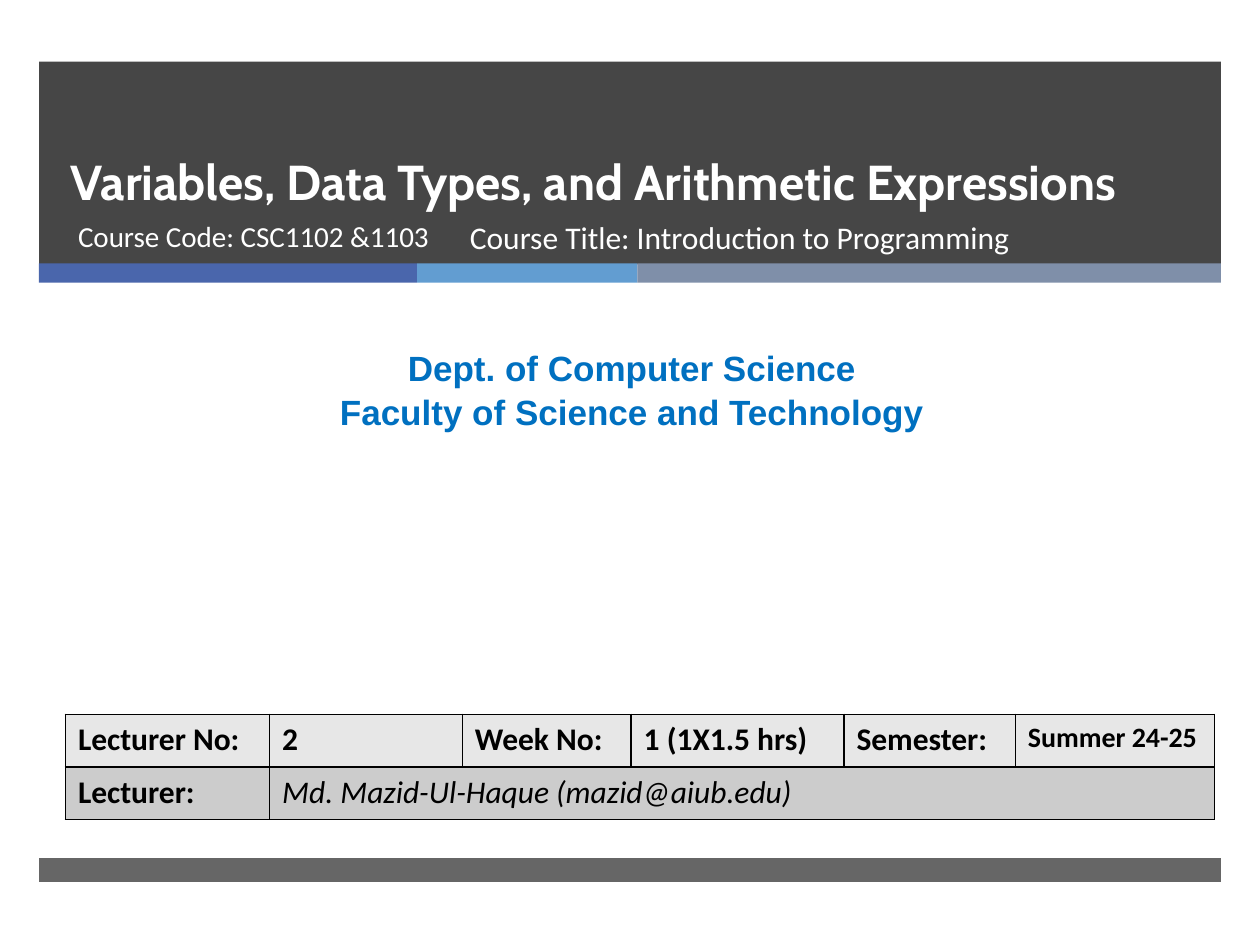
from lxml.etree import SubElement
from pptx import Presentation
from pptx.dml.color import RGBColor
from pptx.enum.shapes import MSO_SHAPE
from pptx.enum.text import MSO_ANCHOR, MSO_AUTO_SIZE, PP_ALIGN
from pptx.oxml.ns import qn
from pptx.util import Pt

COLORS = {
    "white": "FFFFFF", "black": "000000", "dark": "262626",
    "navy": "4A66AC", "sky": "629DD1", "slate": "7F8FA9",
    "department": "0070C0", "row_light": "E7E7E7", "row_dark": "CCCCCC",
}
BAND_LEFT, BAND_WIDTH = 22.32, 675.36
STRIPE_TOP, STRIPE_HEIGHT = 150.5, 11
STRIPES = [("navy", 216), ("sky", 126), ("slate", 333.36)]

COLUMN_WIDTHS = [116.7, 110.1, 96.5, 121.6, 98, 113.7]
ROW_HEIGHT = 30
TABLE_ROWS = [
    ("row_light", ["Lecturer No:", "2", "Week No:", "1 (1X1.5 hrs)",
                   "Semester:", "Summer 24-25"]),
    ("row_dark", ["Lecturer:", "Md. Mazid-Ul-Haque (mazid@aiub.edu)"]),
]
LABEL = {"name": "Calibri", "size": Pt(18), "bold": True}
CELL_FORMATS = {
    "Summer 24-25": {"size": Pt(16)},
    TABLE_ROWS[1][1][1]: {"bold": False, "italic": True},
}


def rgb(name):
    return RGBColor.from_string(COLORS[name])


def add_band(s, left, top, width, height, color, opacity=100):
    sp = s.shapes.add_shape(MSO_SHAPE.RECTANGLE, Pt(left), Pt(top),
                            Pt(width), Pt(height))
    sp.shadow.inherit = False
    sp.fill.solid()
    sp.fill.fore_color.rgb = rgb(color)
    sp.line.fill.background()
    if opacity < 100:
        srgb = sp._element.spPr.find(f".//{qn('a:srgbClr')}")
        SubElement(srgb, qn("a:alpha"), val=str(opacity * 1000))


def format_paragraph(p, color, font, **layout):
    for key, value in layout.items():
        setattr(p, key, value)
    for r in p.runs:
        r.font.color.rgb = rgb(color)
        for key, value in font.items():
            setattr(r.font, key, value)


def fill_text(sp, box, text, color, font, anchor=MSO_ANCHOR.TOP, **layout):
    """Place a text shape at box and write one paragraph per line of text."""
    sp.left, sp.top, sp.width, sp.height = map(Pt, box)
    tf = sp.text_frame
    tf.text = text
    tf.word_wrap = True
    tf.auto_size = MSO_AUTO_SIZE.NONE
    tf.vertical_anchor = anchor
    for p in tf.paragraphs:
        format_paragraph(p, color, font, space_before=Pt(0), **layout)


def add_text(s, box, *args, **layout):
    fill_text(s.shapes.add_textbox(*map(Pt, box)), box, *args, **layout)


def set_borders(cell):
    tc_pr = cell._tc.get_or_add_tcPr()
    for index, side in enumerate(("lnL", "lnR", "lnT", "lnB")):
        ln = tc_pr.makeelement(qn(f"a:{side}"), {"w": str(Pt(1))})
        fill = SubElement(ln, qn("a:solidFill"))
        SubElement(fill, qn("a:srgbClr"), val=COLORS["black"])
        tc_pr.insert(index, ln)


def add_lecture_table(s, left, top):
    table = s.shapes.add_table(
        len(TABLE_ROWS), len(COLUMN_WIDTHS), Pt(left), Pt(top),
        Pt(sum(COLUMN_WIDTHS)), Pt(ROW_HEIGHT * len(TABLE_ROWS))).table
    for column, width in zip(table.columns, COLUMN_WIDTHS):
        column.width = Pt(width)
    table.cell(1, 1).merge(table.cell(1, len(COLUMN_WIDTHS) - 1))
    for row, (color, texts) in zip(table.rows, TABLE_ROWS):
        row.height = Pt(ROW_HEIGHT)
        for cell in row.cells:
            cell.fill.solid()
            cell.fill.fore_color.rgb = rgb(color)
            set_borders(cell)
        for cell, text in zip(row.cells, texts):
            cell.text = text
            format_paragraph(cell.text_frame.paragraphs[0], "black",
                             {**LABEL, **CELL_FORMATS.get(text, {})})


def main():
    prs = Presentation()
    prs.slide_width, prs.slide_height = Pt(720), Pt(540)
    s = prs.slides.add_slide(prs.slide_layouts[0])
    title, subtitle = s.placeholders

    add_band(s, BAND_LEFT, 35.2, BAND_WIDTH, 115.9, "dark", 85)
    left = BAND_LEFT
    for color, width in STRIPES:
        add_band(s, left, STRIPE_TOP, width, STRIPE_HEIGHT, color)
        left += width
    add_band(s, BAND_LEFT, 490.3, BAND_WIDTH, 13.7, "dark", 70)

    # Placeholders come first in the shape tree; bring them above the bands.
    for sp in (title, subtitle):
        s.shapes._spTree.append(sp._element)
    fill_text(title, (33.1, 38.2, 614.9, 85.7),
              "Variables, Data Types, and Arithmetic Expressions", "white",
              {"name": "Cabin", "size": Pt(28), "bold": True},
              MSO_ANCHOR.BOTTOM, alignment=PP_ALIGN.LEFT, line_spacing=Pt(46))
    fill_text(subtitle, (37.4, 121, 231.1, 38.2), "Course Code: CSC1102 &1103",
              "white", {"name": "Calibri", "size": Pt(16.6)},
              alignment=PP_ALIGN.LEFT)
    add_text(s, (5.8, 193, 710.6, 55.4),
             "Dept. of Computer Science\nFaculty of Science and Technology",
             "department", {"name": "Arial", "size": Pt(20), "bold": True},
             alignment=PP_ALIGN.CENTER, line_spacing=1.05)
    add_lecture_table(s, 37.4, 408.2)
    add_text(s, (261.4, 121, 327.6, 38.2),
             "Course Title: Introduction to Programming", "white",
             {"name": "Calibri", "size": Pt(18)}, alignment=PP_ALIGN.LEFT)
    prs.save("out.pptx")


if __name__ == "__main__":
    main()
